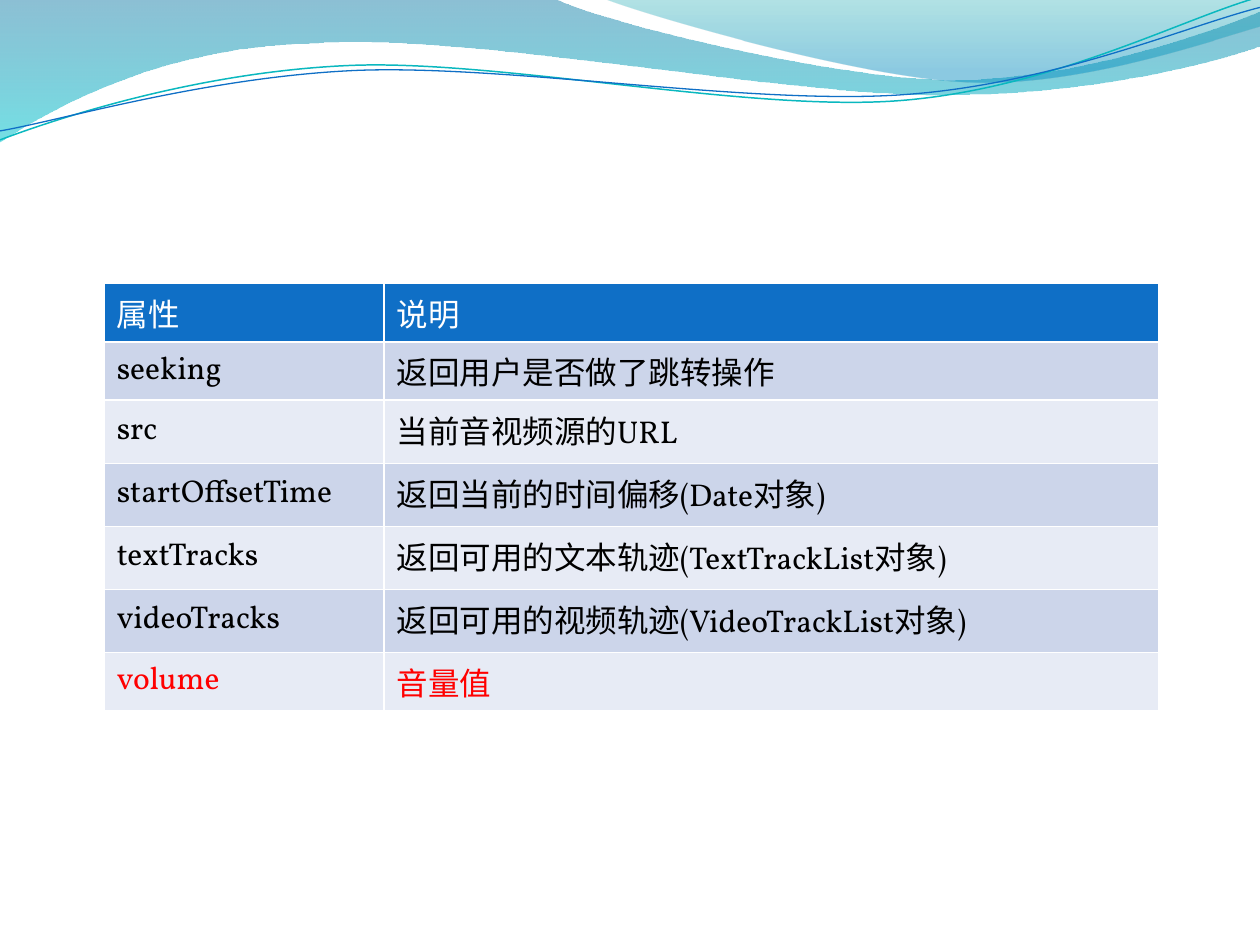
from collections import namedtuple
from dataclasses import dataclass
from math import cos, radians, sin

from lxml import etree
from pptx import Presentation
from pptx.dml.color import RGBColor
from pptx.enum.text import MSO_ANCHOR
from pptx.oxml.ns import qn
from pptx.util import Cm, Pt

TOP, MIDDLE = MSO_ANCHOR.TOP, MSO_ANCHOR.MIDDLE
BLANK_LAYOUT = 6

Box = namedtuple("Box", "left top width height")  # centimetres


@dataclass(frozen=True)
class Theme:
    font: str = "Vollkorn"
    body_size: int = 18
    header_fill: str = "0F6FC6"
    row_fills: tuple = ("CCD5EA", "E7EBF5")
    header_text: str = "FFFFFF"
    text: str = "000000"
    highlight: str = "FF0000"
    teal_line: str = "0AB8BF"
    blue_line: str = "0F6FC6"
    # Gradient stops: position in percent, colour, opacity in percent
    band: tuple = ((0, "0074A1", 45), (100, "00C6CF", 55))
    corner: tuple = ((0, "00A1A9", 30), (80, "008BBF", 45))


THEME = Theme()

# Wave outlines in centimetres: a start point, then segments.
# One point is a straight line, three points are a cubic curve.
BAND = ((0, 0), [
    [(11.18, -0.03)],
    [(12.09, 0.43), (16.87, 1.6), (19.25, 1.6)],
    [(21.67, 1.6), (24.33, 0.66), (25.4, 0.23)],
    [(25.43, 0.91)],
    [(24.97, 1.12), (22.1, 1.93), (18.95, 1.91)],
    [(15.8, 1.93), (9.7, 0.71), (6.53, 0.86)],
    [(3.28, 0.91), (1.17, 2.11), (-0.03, 2.87)],
    [(0, 0)],
])
CORNER = ((12.17, -0.03), [
    [(12.93, 0.28), (17.32, 1.57), (19.53, 1.65)],
    [(21.74, 1.75), (24.41, 0.81), (25.4, 0.53)],
    [(25.4, 0)],
    [(12.17, -0.03)],
])
TEAL_WAVE = ((0, 2.82), [
    [(1.22, 2.36), (4.01, 1.45), (7.04, 1.32)],
    [(10.03, 1.19), (15.06, 2.26), (18.11, 2.03)],
    [(21.16, 1.8), (23.83, 0.38), (25.35, -0.05)],
])
BLUE_WAVE = ((0, 2.64), [
    [(1.19, 2.44), (4.17, 1.55), (7.19, 1.42)],
    [(10.24, 1.3), (15.16, 2.13), (18.21, 1.91)],
    [(21.23, 1.7), (23.9, 0.53), (25.4, 0.15)],
])
WAVE_TILT = -2.7
TEAL_CENTRE = (12.67, 1.46)
BLUE_CENTRE = (12.69, 1.5)

HEADER = ("属性", "说明")
PROPERTIES = [
    ("seeking", "返回用户是否做了跳转操作"),
    ("src", "当前音视频源的URL"),
    ("startOffsetTime", "返回当前的时间偏移(Date对象)"),
    ("textTracks", "返回可用的文本轨迹(TextTrackList对象)"),
    ("videoTracks", "返回可用的视频轨迹(VideoTrackList对象)"),
    ("volume", "音量值"),
]
HIGHLIGHTED = "volume"


def rgb(code):
    return RGBColor.from_string(code)


def write_text(frame, text, color=THEME.text, size=THEME.body_size, bold=False):
    span = frame.paragraphs[0].add_run()
    span.text = text
    span.font.name = THEME.font
    span.font.size = Pt(size)
    span.font.bold = bold
    span.font.color.rgb = rgb(color)


def turn(point, centre, degrees):
    x, y = point[0] - centre[0], point[1] - centre[1]
    cosine, sine = cos(radians(degrees)), sin(radians(degrees))
    return centre[0] + x * cosine - y * sine, centre[1] + x * sine + y * cosine


def add_outline(page, box, outline, closed, centre=(0, 0), tilt=0):
    def place(point):
        x, y = turn(point, centre, -tilt)
        return Cm(box.left + x), Cm(box.top + y)

    start, segments = outline
    builder = page.shapes.build_freeform(*place(start))
    builder.add_line_segments(
        [place(point) for segment in segments for point in segment], close=closed)
    shape = builder.convert_to_shape()
    shape.shadow.inherit = False
    shape.rotation = tilt % 360

    # Join each three-point segment into one cubic curve
    lines = iter(list(shape._element.spPr.iter(qn("a:lnTo"))))
    for segment in segments:
        parts = [next(lines) for _ in segment]
        if len(parts) == 3:
            parts[0].tag = qn("a:cubicBezTo")
            for part in parts[1:]:
                parts[0].append(part[0])
                part.getparent().remove(part)
    return shape


def add_wave_area(page, box, outline, stops):
    shape = add_outline(page, box, outline, closed=True)
    shape.line.fill.background()
    shape.fill.gradient()
    shape.fill.gradient_angle = 270
    for stop, (position, color, _) in zip(shape.fill.gradient_stops, stops):
        stop.position = position / 100
        stop.color.rgb = rgb(color)
    # Opacity of each stop
    colors = list(shape._element.spPr.iter(qn("a:srgbClr")))
    for element, (_, _, opacity) in zip(colors, stops):
        etree.SubElement(element, qn("a:alpha"), val=str(opacity * 1000))


def add_wave_line(page, box, outline, centre, color, width):
    shape = add_outline(page, box, outline, closed=False, centre=centre, tilt=WAVE_TILT)
    shape.fill.background()
    shape.line.color.rgb = rgb(color)
    shape.line.width = Pt(width)


def add_waves(page, box):
    add_wave_area(page, box, BAND, THEME.band)
    add_wave_area(page, box, CORNER, THEME.corner)
    add_wave_line(page, box, TEAL_WAVE, TEAL_CENTRE, THEME.teal_line, 0.85)
    add_wave_line(page, box, BLUE_WAVE, BLUE_CENTRE, THEME.blue_line, 0.75)


def add_property_table(page, box, first_column=5.64):
    rows = [HEADER, *PROPERTIES]
    table = page.shapes.add_table(
        len(rows), len(HEADER), Cm(box.left), Cm(box.top), Cm(box.width), Cm(box.height)).table
    table.columns[0].width = Cm(first_column)
    table.columns[1].width = Cm(box.width - first_column)

    for row_index, row in enumerate(rows):
        is_header = row_index == 0
        if is_header:
            fill, color = THEME.header_fill, THEME.header_text
        else:
            fill = THEME.row_fills[(row_index - 1) % 2]
            color = THEME.highlight if row[0] == HIGHLIGHTED else THEME.text
        for column_index, text in enumerate(row):
            cell = table.cell(row_index, column_index)
            cell.fill.solid()
            cell.fill.fore_color.rgb = rgb(fill)
            cell.vertical_anchor = TOP if is_header else MIDDLE
            write_text(cell.text_frame, text, color=color)


def main():
    deck = Presentation()
    deck.slide_width, deck.slide_height = Cm(25.4), Cm(19.05)
    page = deck.slides.add_slide(deck.slide_layouts[BLANK_LAYOUT])
    add_waves(page, Box(0, 0, 25.4, 2.87))
    add_property_table(page, Box(2.1, 5.72, 21.26, 7.21))
    deck.save("out.pptx")


main()
